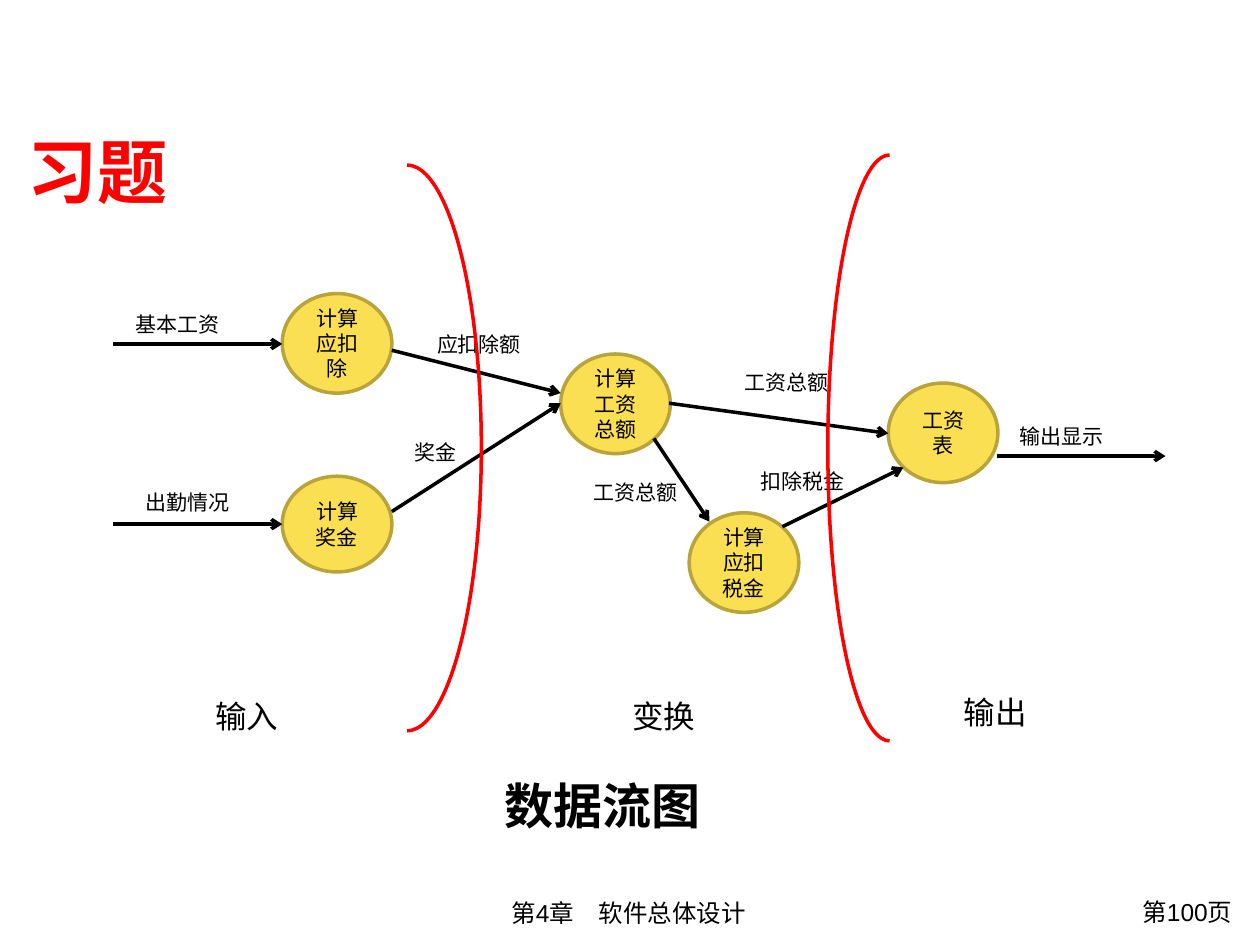
from lxml.etree import SubElement
from pptx import Presentation
from pptx.dml.color import RGBColor
from pptx.enum.shapes import MSO_CONNECTOR, MSO_SHAPE
from pptx.enum.text import MSO_ANCHOR, PP_ALIGN
from pptx.oxml.ns import qn
from pptx.util import Inches, Pt

COLORS = {"text": "000000", "accent": "FF0000", "node": "FBDF53", "node_line": "B9A43B"}
FONT = "Arial"
NODE_WIDTH = 0.87

NODES = [
    ("计算应扣除", 2.24, 2.33, 0.79),
    ("计算奖金", 2.24, 3.78, 0.76),
    ("计算工资总额", 4.45, 2.81, 0.79),
    ("计算应扣税金", 5.47, 4.07, 0.79),
    ("工资表", 7.05, 3.04, 0.79),
]
FLOWS = [
    ("基本工资", (0.98, 2.42), (0.9, 2.73), (2.24, 2.73)),
    ("出勤情况", (1.06, 3.84), (0.9, 4.16), (2.24, 4.16)),
    ("应扣除额", (3.37, 2.58), (3.11, 2.78), (4.45, 3.12)),
    ("奖金", (3.19, 3.44), (3.11, 4.06), (4.45, 3.2)),
    ("工资总额", (4.61, 3.76), (5.19, 3.48), (5.63, 4.14)),
    ("工资总额", (5.81, 2.88), (5.31, 3.2), (7.05, 3.44)),
    ("扣除税金", (5.94, 3.67), (6.21, 4.18), (7.17, 3.71)),
    ("输出显示", (7.99, 3.31), (7.91, 3.62), (9.25, 3.62)),
]
BOUNDARIES = [
    ((2.64, 1.31, 1.18, 4.49), (-54, 54)),
    ((6.57, 1.23, 0.98, 4.65), (54, -54)),
]
STAGES = [("输入", 1.61, 5.48), ("变换", 4.92, 5.48), ("输出", 7.55, 5.45)]


def rgb(name):
    return RGBColor.from_string(COLORS[name])


def inches(values):
    return [Inches(value) for value in values]


def write_text(shape, text, size=12, color="text", bold=False,
               align=PP_ALIGN.LEFT, anchor=MSO_ANCHOR.TOP):
    frame = shape.text_frame
    frame.word_wrap = True
    frame.vertical_anchor = anchor
    paragraph = frame.paragraphs[0]
    paragraph.alignment = align
    run = paragraph.add_run()
    run.text = text
    run.font.name = FONT
    run.font.size = Pt(size)
    run.font.bold = bold
    run.font.color.rgb = rgb(color)


def add_text(slide, text, box, **text_format):
    shape = slide.shapes.add_textbox(*inches(box))
    write_text(shape, text, **text_format)


def add_title(slide, text, box):
    title = slide.shapes.title
    title.left, title.top, title.width, title.height = inches(box)
    write_text(title, text, size=40, color="accent", bold=True, anchor=MSO_ANCHOR.MIDDLE)


def add_node(slide, text, left, top, height):
    node = slide.shapes.add_shape(MSO_SHAPE.OVAL, *inches((left, top, NODE_WIDTH, height)))
    node.shadow.inherit = False
    node.fill.solid()
    node.fill.fore_color.rgb = rgb("node")
    node.line.color.rgb = rgb("node_line")
    node.line.width = Pt(2)
    write_text(node, text, align=PP_ALIGN.CENTER, anchor=MSO_ANCHOR.MIDDLE)


def add_flow(slide, text, label_position, start, end):
    connector = slide.shapes.add_connector(MSO_CONNECTOR.STRAIGHT, *inches(start + end))
    connector.line.color.rgb = rgb("text")
    connector.line.width = Pt(2)
    SubElement(connector.line._get_or_add_ln(), qn("a:tailEnd"), type="arrow")
    SubElement(connector._element.spPr, qn("a:effectLst"))
    add_text(slide, text, label_position + (1.02, 0.3))


def add_boundary(slide, box, angles):
    arc = slide.shapes.add_shape(MSO_SHAPE.ARC, *inches(box))
    for index, angle in enumerate(angles):
        arc.adjustments[index] = angle % 216
    arc.shadow.inherit = False
    arc.fill.background()
    arc.line.color.rgb = rgb("accent")
    arc.line.width = Pt(2)


def main():
    presentation = Presentation()
    presentation.slide_width, presentation.slide_height = Inches(10), Inches(7.5)
    slide = presentation.slides.add_slide(presentation.slide_layouts[5])

    add_text(slide, "第4章　软件总体设计", (2.35, 7.08, 5.28, 0.34), size=14, align=PP_ALIGN.CENTER)
    add_text(slide, "第100页", (8.54, 7.07, 1.34, 0.37), size=14, align=PP_ALIGN.RIGHT)
    for node in NODES:
        add_node(slide, *node)
    for flow in FLOWS:
        add_flow(slide, *flow)
    for box, angles in BOUNDARIES:
        add_boundary(slide, box, angles)
    for text, left, top in STAGES:
        add_text(slide, text, (left, top, 1.18, 0.4), size=18)
    add_title(slide, "习题", (0.12, 0.99, 3.62, 0.72))
    add_text(slide, "数据流图", (3.91, 6.03, 2.43, 0.72), size=28, bold=True, anchor=MSO_ANCHOR.MIDDLE)

    presentation.save("out.pptx")


if __name__ == "__main__":
    main()
